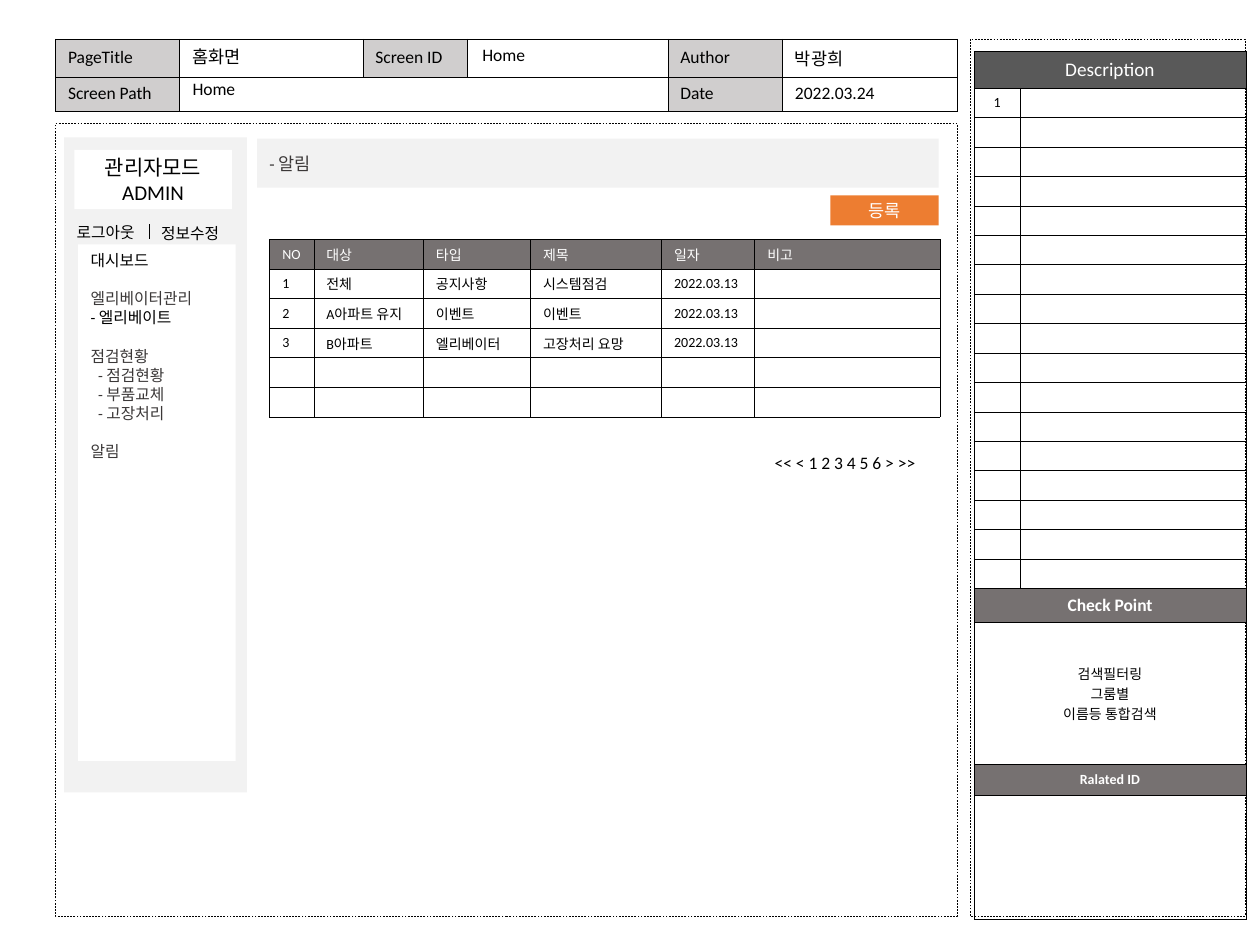
import pptx
import pptx.dml.color
import pptx.enum.dml
import pptx.enum.shapes
import pptx.enum.text
import pptx.oxml
import pptx.oxml.ns
import pptx.util
from lxml import etree

COLS, ROWS = 1000, 750
prs = pptx.Presentation()
prs.slide_width = pptx.util.Inches(10)
prs.slide_height = pptx.util.Inches(7.5)
CELL = prs.slide_width // COLS

ALIGN = pptx.enum.text.PP_ALIGN
ANCHOR = pptx.enum.text.MSO_ANCHOR
BLACK, WHITE, DARK, GREY, PALE = "000000", "FFFFFF", "3B3838", "767171", "F2F2F2"


def grid(*cells):
    return [round(n * CELL) for n in cells]


def within(box, x, y, w, h):
    return box[0] + x, box[1] + y, w, h


def color(value):
    return pptx.dml.color.RGBColor.from_string(value)


def qn(tag):
    return pptx.oxml.ns.qn(tag)


def write(tf, lines, size, ink=BLACK, align=ALIGN.LEFT, bold=False):
    for i, line in enumerate(lines):
        p = tf.paragraphs[0] if i == 0 else tf.add_paragraph()
        p.text = line
        p.alignment = align
        p.font.name = "Calibri"
        p.font.size = pptx.util.Pt(size)
        p.font.bold = bold
        p.font.color.rgb = color(ink)
        if not line:
            etree.SubElement(p._p, qn("a:endParaRPr")).set("sz", str(size * 100))


def panel(s, box, fill=None, lines=(), size=10, ink=BLACK, align=ALIGN.CENTER,
          anchor=ANCHOR.MIDDLE):
    sp = s.shapes.add_shape(pptx.enum.shapes.MSO_SHAPE.RECTANGLE, *grid(*box))
    sp.shadow.inherit = False
    if fill:
        sp.fill.solid()
        sp.fill.fore_color.rgb = color(fill)
        sp.line.fill.background()
    else:
        sp.fill.background()
        sp.line.color.rgb = color(BLACK)
        sp.line.width = pptx.util.Pt(0.25)
        sp.line.dash_style = pptx.enum.dml.MSO_LINE.DASH
    sp.text_frame.vertical_anchor = anchor
    write(sp.text_frame, lines, size, ink, align)
    return sp


def label(s, box, text, size=10, wrap=True):
    tf = s.shapes.add_textbox(*grid(*box)).text_frame
    tf.word_wrap = wrap
    write(tf, [text], size)


def add_borders(cell):
    tc_pr = cell._tc.get_or_add_tcPr()
    for side in "LRTB":
        ln = etree.SubElement(tc_pr, qn(f"a:ln{side}"), w="3175")
        fill = etree.SubElement(ln, qn("a:solidFill"))
        etree.SubElement(fill, qn("a:srgbClr"), val=BLACK)


def add_grid_table(s, x, y, cols, rows, pad=5):
    box = grid(x, y, sum(cols), sum(rows))
    tbl = s.shapes.add_table(len(rows), len(cols), *box).table
    tbl.first_row = tbl.horz_banding = False
    for column, width in zip(tbl.columns, grid(*cols)):
        column.width = width
    for row, height in zip(tbl.rows, grid(*rows)):
        row.height = height
    for cell in tbl.iter_cells():
        add_borders(cell)
        cell.margin_top, cell.margin_bottom = grid(pad, pad)
    return tbl


def fill_cell(cell, lines, size, fill=None, **style):
    cell.vertical_anchor = ANCHOR.MIDDLE
    if fill:
        cell.fill.solid()
        cell.fill.fore_color.rgb = color(fill)
    else:
        cell.fill.background()
    write(cell.text_frame, lines, size, **style)


def add_page_header(s, box):
    x, y, w, h = box
    cells = [["PageTitle", "", "Screen ID", "", "Author", "박광희"],
             ["Screen Path", "", "", "", "Date", "2022.03.24"]]
    names = {"PageTitle", "Screen ID", "Author", "Screen Path", "Date"}
    tbl = add_grid_table(s, x, y, [98, 146, 83, 159, 91, 139], [30, 26])
    tbl.cell(1, 1).merge(tbl.cell(1, 3))
    for r, row in enumerate(cells):
        for c, text in enumerate(row):
            fill_cell(tbl.cell(r, c), [text], 10, "D0CECE" if text in names else None)
    label(s, within(box, 99, 1, 145, 27), "홈화면")
    label(s, within(box, 99, 26, 384, 27), "Home")
    label(s, within(box, 329, -1, 145, 27), "Home")


def add_description(s, box):
    panel(s, box)
    blank_rows = 17
    tbl = add_grid_table(s, box[0] + 3, box[1] + 10, [37, 179],
                         [29] + [21] * blank_rows + [27, 113, 24, 99])
    for r in range(1, blank_rows + 1):
        fill_cell(tbl.cell(r, 0), ["1" if r == 1 else ""], 8, align=ALIGN.CENTER)
        fill_cell(tbl.cell(r, 1), [""], 8)
    checks = ["검색필터링", "그룸별", "이름등 통합검색"]
    bands = [(0, ["Description"], 11, "595959", WHITE, False),
             (18, ["Check Point"], 10, GREY, WHITE, True),
             (19, checks, 8, None, BLACK, False),
             (20, ["Ralated ID"], 8, GREY, WHITE, True),
             (21, [""], 8, None, BLACK, False)]
    for r, lines, size, fill, ink, bold in bands:
        tbl.cell(r, 0).merge(tbl.cell(r, 1))
        fill_cell(tbl.cell(r, 0), lines, size, fill, ink=ink, bold=bold,
                  align=ALIGN.CENTER)


def add_sidebar(s, box):
    panel(s, box, PALE)
    panel(s, within(box, 8, 10, 125, 47), WHITE, ["관리자모드", "ADMIN"], 12)
    label(s, within(box, 0, 63, 71, 25), "로그아웃", 9, False)
    label(s, within(box, 67, 64, 71, 25), "정보수정", 9, False)
    x, y = box[0] + 68, box[1] + 69
    divider = s.shapes.add_connector(pptx.enum.shapes.MSO_CONNECTOR.STRAIGHT,
                                     *grid(x, y, x, y + 12))
    divider.line.color.rgb = color(BLACK)
    divider.line.width = pptx.util.Pt(0.5)
    etree.SubElement(divider._element.spPr, qn("a:effectLst"))

    menu = ["대시보드", "엘리베이터관리", "- 엘리베이트", "점검현황",
            "- 점검현황", "- 부품교체", "- 고장처리", "알림"]
    sp = panel(s, within(box, 11, 85, 125, 410), WHITE, menu, 9, DARK,
               ALIGN.LEFT, ANCHOR.TOP)
    line_height = pptx.util.Pt(10.9)
    for i, p in enumerate(sp.text_frame.paragraphs):
        p.line_spacing = line_height
        if p.text in ("대시보드", "- 엘리베이트"):
            p.font.color.rgb = color(BLACK)
        if i and not p.text.startswith("-"):
            p.space_before = line_height
        if i in (4, 5, 6):
            p._p.get_or_add_pPr().set("marL", str(6 * CELL))


def add_alerts(s, box):
    x, y, w, h = box
    panel(s, within(box, 0, 0, w, 39), PALE, ["- 알림"], 10, DARK, ALIGN.LEFT)
    cells = [["NO", "대상", "타입", "제목", "일자", "비고"],
             ["1", "전체", "공지사항", "시스템점검", "2022.03.13", ""],
             ["2", "A아파트 유지", "이벤트", "이벤트", "2022.03.13", ""],
             ["3", "B아파트", "엘리베이터", "고장처리 요망", "2022.03.13", ""],
             [""] * 6, [""] * 6]
    tbl = add_grid_table(s, x + 10, y + 80, [35, 87, 85, 104, 74, 147],
                         [23.5] * len(cells), pad=3)
    for r, row in enumerate(cells):
        fill, ink = (GREY, WHITE) if r == 0 else (None, BLACK)
        for c, text in enumerate(row):
            fill_cell(tbl.cell(r, c), [text], 8, fill, ink=ink)
    label(s, within(box, 401, 244, 134, 27), "<< < 1 2 3 4 5 6 > >>", wrap=False)
    panel(s, within(box, w - 86, 45, 86, 24), "ED7D31", ["등록"], 10, WHITE)


def main():
    s = prs.slides.add_slide(prs.slide_layouts[6])
    top, left, width = 31, 44, 716
    body = (left, 98, width, 629)
    add_page_header(s, (left, top, width, 56))
    panel(s, body)
    add_description(s, (770, top, 218, 696))
    add_sidebar(s, within(body, 7, 11, 145, 520))
    add_alerts(s, within(body, 160, 12, 541, 271))
    prs.save("out.pptx")


if __name__ == "__main__":
    main()
